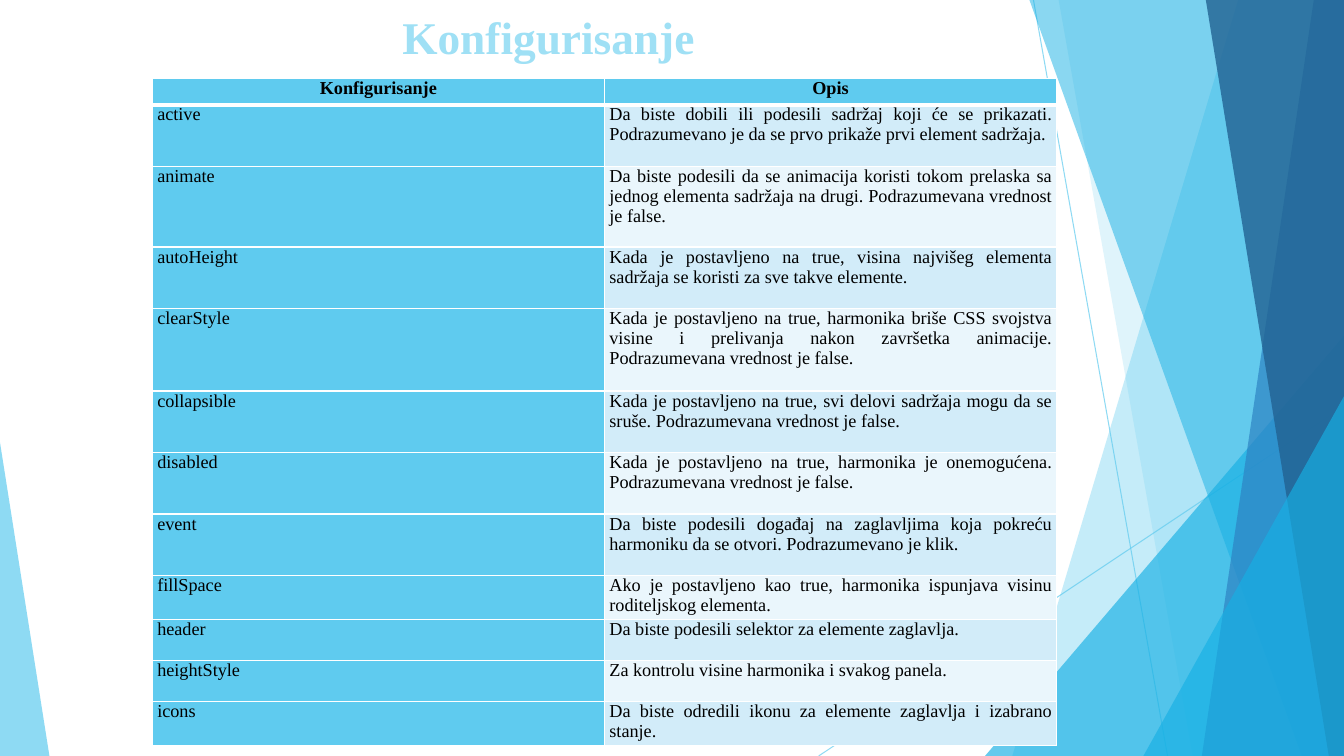
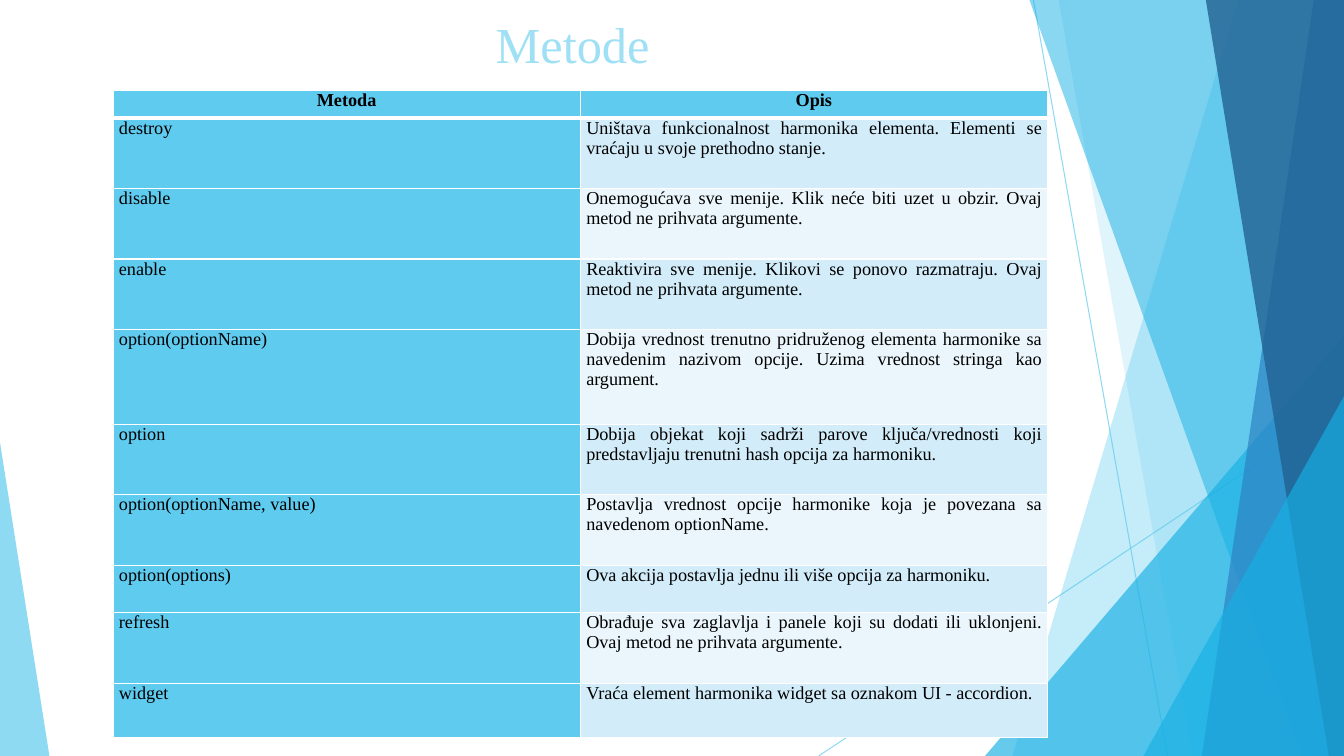
from lxml import etree
from pptx import Presentation
from pptx import util as u
from pptx.dml.color import RGBColor
from pptx.enum import shapes, text
from pptx.oxml.ns import qn

FONT = "Times New Roman"
SKY, AQUA, BLUE, NAVY = "5FCBEF", "17B0E4", "2E83C3", "226292"
PALE, ODD, EVEN = "9FE0F5", "D2ECF9", "EAF6FC"
WIDE, HIGH = 13.33, 7.5

RAYS = [(10.25, 0, 11.58, HIGH), (WIDE, 4.03, 8.12, HIGH)]
BANDS = [
    ("slab", (12.28, 10.04), SKY, 36),
    ("slab", (10.5, 11.83), SKY, 20),
    ("peak", (9.77, 3.33, 3.56, 4.17, 1), AQUA, 66),
    ("slab", (10.21, 12.91), AQUA, 50),
    ("slab", (13.03, 11.92), BLUE, 70),
    ("slab", (11.96, 13.18), NAVY, 80),
    ("peak", (11.34, 3.93, 1.99, 3.57, 1), AQUA, 66),
    ("peak", (0, 4.39, 0.49, 3.11, 0), SKY, 70),
]

SETUP = [
    (0.26, "Konfigurisanje", "Opis"),
    (0.61, "active", "Da biste dobili ili podesili sadržaj koji će se prikazati. "
     "Podrazumevano je da se prvo prikaže prvi element sadržaja."),
    (0.8, "animate", "Da biste podesili da se animacija koristi tokom prelaska sa "
     "jednog elementa sadržaja na drugi. Podrazumevana vrednost je false."),
    (0.61, "autoHeight", "Kada je postavljeno na true, visina najvišeg elementa "
     "sadržaja se koristi za sve takve elemente."),
    (0.82, "clearStyle", "Kada je postavljeno na true, harmonika briše CSS svojstva "
     "visine i prelivanja nakon završetka animacije. Podrazumevana vrednost je false."),
    (0.61, "collapsible", "Kada je postavljeno na true, svi delovi sadržaja mogu da se "
     "sruše. Podrazumevana vrednost je false."),
    (0.61, "disabled", "Kada je postavljeno na true, harmonika je onemogućena. "
     "Podrazumevana vrednost je false."),
    (0.61, "event", "Da biste podesili događaj na zaglavljima koja pokreću "
     "harmoniku da se otvori. Podrazumevano je klik."),
    (0.61 - 0.2, "fillSpace", "Ako je postavljeno kao true, harmonika ispunjava visinu "
     "roditeljskog elementa."),
    (0.41, "header", "Da biste podesili selektor za elemente zaglavlja."),
    (0.41, "heightStyle", "Za kontrolu visine harmonika i svakog panela."),
    (0.41, "icons", "Da biste odredili ikonu za elemente zaglavlja i izabrano stanje."),
]
CALLS = [
    (0.27, "Metoda", "Opis"),
    (0.7, "destroy", "Uništava funkcionalnost harmonika elementa. Elementi se "
     "vraćaju u svoje prethodno stanje."),
    (0.7, "disable", "Onemogućava sve menije. Klik neće biti uzet u obzir. Ovaj "
     "metod ne prihvata argumente."),
    (0.7, "enable", "Reaktivira sve menije. Klikovi se ponovo razmatraju. Ovaj "
     "metod ne prihvata argumente."),
    (0.94, "option(optionName)", "Dobija vrednost trenutno pridruženog elementa harmonike sa "
     "navedenim nazivom opcije. Uzima vrednost stringa kao argument."),
    (0.7, "option", "Dobija objekat koji sadrži parove ključa/vrednosti koji "
     "predstavljaju trenutni hash opcija za harmoniku."),
    (0.7, "option(optionName, value)", "Postavlja vrednost opcije harmonike koja je povezana sa "
     "navedenom optionName."),
    (0.47, "option(options)", "Ova akcija postavlja jednu ili više opcija za harmoniku."),
    (0.7, "refresh", "Obrađuje sva zaglavlja i panele koji su dodati ili uklonjeni. "
     "Ovaj metod ne prihvata argumente."),
    (0.54, "widget", "Vraća element harmonika widget sa oznakom UI - accordion."),
]
PAGES = [
    dict(title="Konfigurisanje", box=(0.74, 0, 9.4, 0.78), size=32.4, bold=True,
         grid=(1.51, 0.78, 8.97), rows=SETUP, pad=0.05, after=0),
    dict(title="Metode", box=(0.98, 0.02, 9.4, 0.87), size=36, bold=False,
         grid=(1.12, 0.9, 9.27), rows=CALLS, pad=0.06, after=6),
]


def paint(fill, color, node=None, alpha=100):
    fill.solid()
    fill.fore_color.rgb = RGBColor.from_string(color)
    if node is not None:
        for tint in node.xpath(".//a:srgbClr"):
            etree.SubElement(tint, qn("a:alpha"), val=str(alpha * 1000))


def write(frame, words, size=13, color="000000", bold=False, align="CENTER", after=0):
    frame.word_wrap = True
    para = frame.paragraphs[0]
    para.alignment = text.PP_ALIGN[align]
    para.space_after = u.Pt(after)
    run = para.add_run()
    run.text = words
    run.font.name, run.font.size, run.font.bold = FONT, u.Pt(size), bold
    paint(run.font.fill, color)


deck = Presentation()
deck.slide_width, deck.slide_height = u.Inches(WIDE), u.Inches(HIGH)

for page in PAGES:
    slide = deck.slides.add_slide(deck.slide_layouts[6])
    paint(slide.background.fill, "FFFFFF")
    art = slide.shapes

    for ends in RAYS:
        ray = art.add_connector(shapes.MSO_CONNECTOR.STRAIGHT, *map(u.Inches, ends))
        ray.line.width = u.Pt(0.75)
        paint(ray.line.fill, SKY, ray.element, 70)
        etree.SubElement(ray.element.spPr, qn("a:effectLst"))

    for kind, nums, color, alpha in BANDS:
        if kind == "slab":
            top, foot = nums
            pen = art.build_freeform(u.Inches(top), 0)
            pen.add_line_segments([(u.Inches(x), u.Inches(y)) for x, y in
                                   ((WIDE, 0), (WIDE, HIGH), (foot, HIGH))])
            band = pen.convert_to_shape()
        else:
            *place, tip = nums
            band = art.add_shape(shapes.MSO_SHAPE.ISOSCELES_TRIANGLE, *map(u.Inches, place))
            band.adjustments[0] = tip
        band.shadow.inherit = False
        band.line.fill.background()
        paint(band.fill, color, band.element, alpha)

    frame = art.add_textbox(*map(u.Inches, page["box"])).text_frame
    frame.vertical_anchor = text.MSO_ANCHOR.MIDDLE
    frame.margin_top, frame.margin_bottom = 0, u.Inches(0.05)
    write(frame, page["title"], size=page["size"], color=PALE, bold=page["bold"])

    rows = page["rows"]
    left, top, wide = page["grid"]
    tall = sum(row[0] for row in rows)
    grid = art.add_table(len(rows), 2, *map(u.Inches, (left, top, wide, tall))).table
    grid.first_row = grid.horz_banding = False
    for r, (high, *words) in enumerate(rows):
        grid.rows[r].height = u.Inches(high)
        for c, word in enumerate(words):
            cell = grid.cell(r, c)
            cell.margin_left = cell.margin_right = u.Inches(page["pad"])
            cell.margin_top = cell.margin_bottom = 0
            write(cell.text_frame, word, bold=r == 0, after=page["after"],
                  align="JUSTIFY" if r else "CENTER")
            prop = cell._tc.get_or_add_tcPr()
            for side in "LRTB":
                thick = (r, side) in ((0, "B"), (1, "T"))
                edge = etree.SubElement(prop, qn("a:ln" + side), w=str(u.Pt(3 if thick else 1)))
                fill = etree.SubElement(edge, qn("a:solidFill"))
                etree.SubElement(fill, qn("a:srgbClr"), val="FFFFFF")
            paint(cell.fill, SKY if r == 0 or c == 0 else ODD if r % 2 else EVEN)

deck.save("out.pptx")
